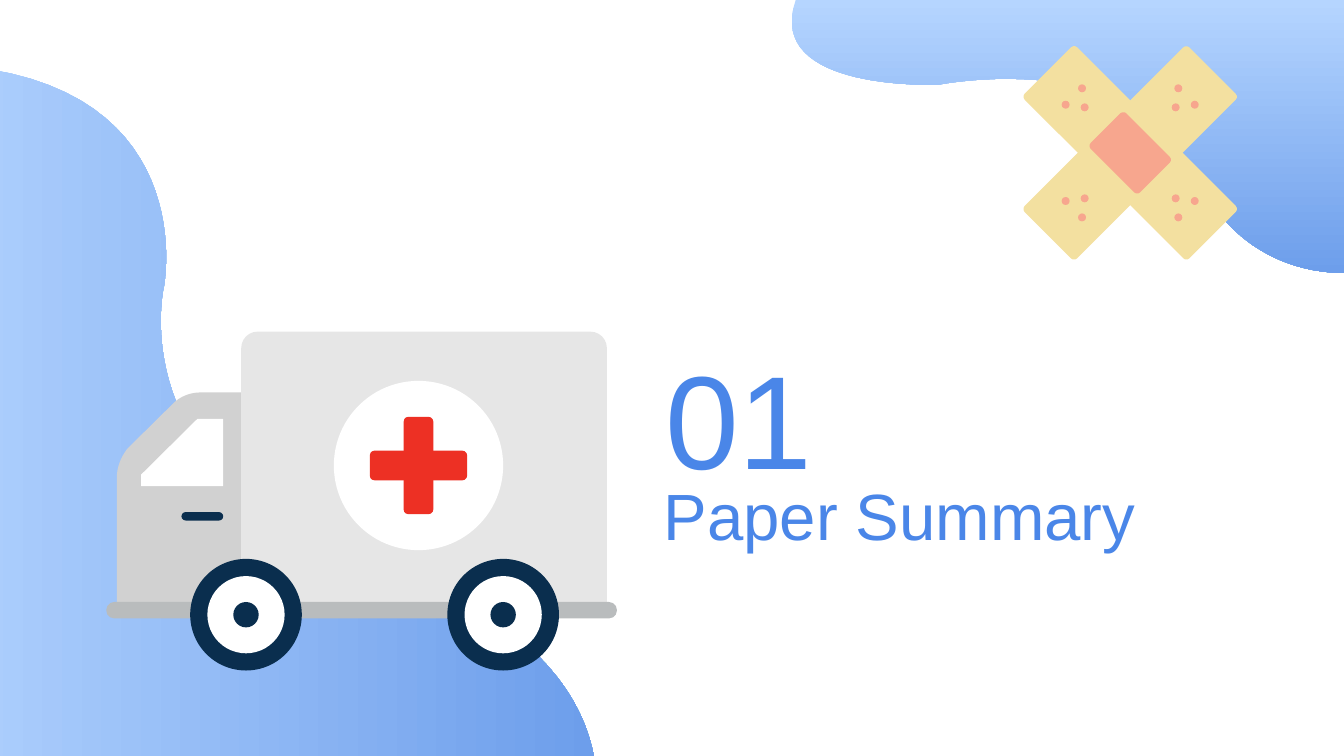
from pptx import Presentation
from pptx.dml.color import RGBColor
from pptx.enum.shapes import MSO_SHAPE
from pptx.enum.text import MSO_ANCHOR, PP_ALIGN
from pptx.util import Cm, Pt

OVAL = MSO_SHAPE.OVAL
ROUNDED = MSO_SHAPE.ROUNDED_RECTANGLE
TOP = MSO_ANCHOR.TOP
LEFT = PP_ALIGN.LEFT

COLORS = {
    "title": "4A86E8",
    "wave_light": "B5D5FF",
    "wave_dark": "6D9EEB",
    "bandage": "F3E0A0",
    "pad": "F7A68E",
    "cab": "D1D1D1",
    "body": "E6E6E6",
    "bumper": "B9BCBD",
    "navy": "0A2E4E",
    "white": "FFFFFF",
    "cross": "ED3024",
}


def color(name):
    return RGBColor.from_string(COLORS[name])


def bezier(start, control_a, control_b, end, steps=32):
    for step in range(1, steps + 1):
        t = step / steps
        u = 1 - t
        yield tuple(
            u**3 * a + 3 * u * u * t * b + 3 * u * t * t * c + t**3 * d
            for a, b, c, d in zip(start, control_a, control_b, end)
        )


class SlideArtist:
    font = "Arial"

    def __init__(self, slide):
        self.slide = slide

    def finish(self, shape, fill):
        shape.shadow.inherit = False
        shape.line.fill.background()
        if fill:
            shape.fill.solid()
            shape.fill.fore_color.rgb = color(fill)
        return shape

    def circle(self, center_x, center_y, diameter, fill):
        radius = diameter / 2
        disc = self.slide.shapes.add_shape(
            OVAL, Cm(center_x - radius), Cm(center_y - radius), Cm(diameter), Cm(diameter)
        )
        return self.finish(disc, fill)

    def rounded(self, left, top, width, height, radius, fill, rotation=0):
        panel = self.slide.shapes.add_shape(ROUNDED, Cm(left), Cm(top), Cm(width), Cm(height))
        panel.adjustments[0] = radius / min(width, height)
        panel.rotation = rotation
        return self.finish(panel, fill)

    def centered(self, center, width, height, radius, fill, rotation=0):
        x, y = center
        return self.rounded(x - width / 2, y - height / 2, width, height, radius, fill, rotation)

    def outline(self, start, segments, fill=None):
        points = [start]
        for segment in segments:
            if len(segment) == 3:
                points.extend(bezier(points[-1], *segment))
            else:
                points.extend(segment)
        vertices = [(Cm(x), Cm(y)) for x, y in points]
        builder = self.slide.shapes.build_freeform(*vertices[0])
        builder.add_line_segments(vertices[1:], close=True)
        return self.finish(builder.convert_to_shape(), fill)

    def wave(self, start, segments, angle):
        fill = self.outline(start, segments).fill
        fill.gradient()
        fill.gradient_angle = angle
        for stop, name in zip(fill.gradient_stops, ("wave_light", "wave_dark")):
            stop.color.rgb = color(name)

    def bandage(self, center, slope):
        self.centered(center, 4.4, 1.4, 0.08, "bandage", 45 * slope)
        self.centered(center, 1.32, 0.95, 0.08, "pad", 45 * slope)
        x, y = center
        for side in (1, -1):
            for dx, dy in ((1.22, 0.91), (0.91, 1.22), (0.86, 0.86)):
                self.circle(x + side * dx, y + side * slope * dy, 0.15, "pad")

    def wheel(self, center_x, center_y):
        for diameter, fill in ((2.11, "navy"), (1.46, "white"), (0.48, "navy")):
            self.circle(center_x, center_y, diameter, fill)

    def heading(self, text, left, top, width, height, size, inset_top):
        frame = self.slide.shapes.add_textbox(
            Cm(left), Cm(top), Cm(width), Cm(height)
        ).text_frame
        frame.word_wrap = True
        frame.vertical_anchor = TOP
        frame.margin_left = frame.margin_right = Cm(0.25)
        frame.margin_top, frame.margin_bottom = Cm(inset_top), Cm(0)
        paragraph = frame.paragraphs[0]
        paragraph.alignment = LEFT
        run = paragraph.add_run()
        run.text = text
        run.font.name = self.font
        run.font.size = Pt(size)
        run.font.color.rgb = color("title")


def main():
    deck = Presentation()
    deck.slide_width, deck.slide_height = Cm(25.4), Cm(14.29)
    artist = SlideArtist(deck.slides.add_slide(deck.slide_layouts[6]))

    artist.wave(
        (11.23, 14.33),
        [
            [(11.07, 13.41), (10.36, 11.73), (7.01, 10.62)],
            [(2.24, 9.04), (3.1, 5.41), (3.1, 5.41)],
            [(3.1, 5.41), (3.96, 0.91), (-2.18, 1.22)],
            [(-2.18, 14.33)],
        ],
        0,
    )
    artist.wave(
        (25.4, 5.16),
        [
            [(24.61, 5.16), (23.29, 4.85), (22.56, 3.25)],
            [(21.49, 0.86), (17.75, 1.6), (17.75, 1.6)],
            [(17.75, 1.6), (14.43, 1.75), (15.04, 0)],
            [(25.4, 0)],
        ],
        270,
    )

    artist.heading("Paper Summary", 12.29, 8.61, 11.1, 1.7, 35, 0.38)
    artist.heading("01", 12.32, 5.84, 11.1, 2.67, 71, 0.53)

    for slope in (-1, 1):
        artist.bandage((21.36, 2.89), slope)

    artist.outline(
        (4.57, 7.42),
        [
            [(3.78, 7.42)],
            [(3.58, 7.42), (3.38, 7.51), (3.25, 7.65)],
            [(2.41, 8.48)],
            [(2.28, 8.65), (2.21, 8.84), (2.21, 9.02)],
            [(2.21, 11.68)],
            [(4.57, 11.68)],
        ],
        "cab",
    )
    artist.outline(
        (2.67, 9.19),
        [[(4.22, 9.19)], [(4.22, 7.92)], [(3.73, 7.92)], [(2.67, 8.97)]],
        "white",
    )
    artist.rounded(4.56, 6.27, 6.91, 5.41, 0.31, "body")
    artist.rounded(3.43, 9.68, 0.79, 0.16, 0.08, "navy")

    badge = (7.91, 8.8)
    artist.circle(*badge, 3.2, "white")
    for width, height in ((0.56, 1.84), (1.84, 0.56)):
        artist.centered(badge, width, height, 0.09, "cross")

    artist.rounded(2.01, 11.38, 9.65, 0.31, 0.15, "bumper")
    for axle in (4.65, 9.51):
        artist.wheel(axle, 11.62)

    deck.save("out.pptx")


if __name__ == "__main__":
    main()
